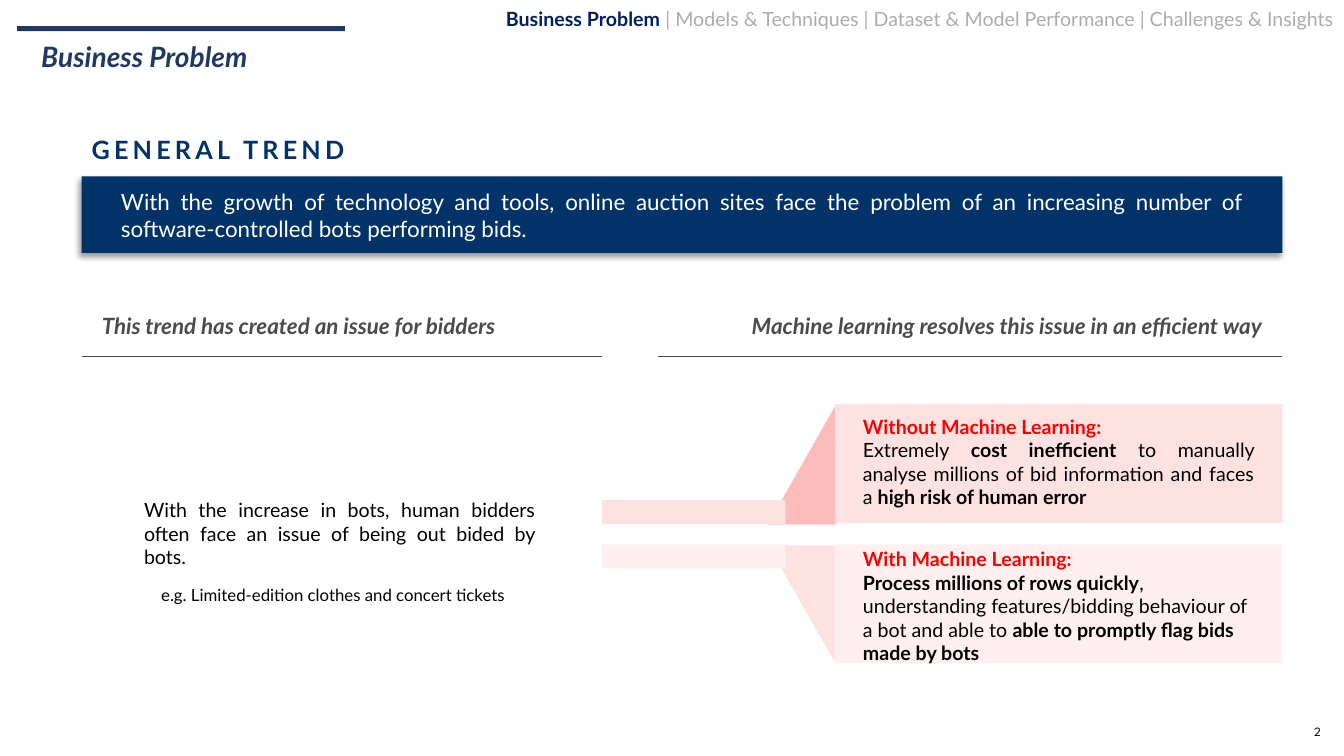
"""Build the business problem slide about bots on online auction sites."""
from pptx import Presentation
from pptx.dml.color import RGBColor
from pptx.enum.shapes import MSO_CONNECTOR as Link, MSO_SHAPE as Shape
from pptx.enum.text import MSO_ANCHOR as Anchor, PP_ALIGN as Align
from pptx.oxml import parse_xml
from pptx.oxml.ns import nsdecls
from pptx.util import Inches, Pt

COLORS = {
    "black": "000000", "white": "FFFFFF", "red": "FF0000", "slate": "4D4B4A",
    "muted": "AFABAB", "accent": "203864", "tab": "002060", "banner": "013369",
    "rose": "FCBCBC", "pink": "FEE2E2", "blush": "FEF0F0",
}


def write(frame, *paragraphs, size=14, color="black", bold=False, italic=False,
          align=Align.LEFT, anchor=Anchor.MIDDLE, inset=0.1, spacing=None,
          tracking=None, font="Lato"):
    """Fill a frame; a paragraph is a string or a list of (text, overrides)."""
    frame.word_wrap = True
    frame.vertical_anchor = anchor
    frame.margin_left = frame.margin_right = Inches(inset)
    frame.margin_top = frame.margin_bottom = Inches(0.05)
    for index, content in enumerate(paragraphs):
        paragraph = frame.paragraphs[0] if index == 0 else frame.add_paragraph()
        runs = [(content, {})] if isinstance(content, str) else content
        paragraph.alignment = runs[0][1].get("align", align)
        if spacing:
            paragraph.line_spacing = spacing
        for text, style in runs:
            run = paragraph.add_run()
            run.text = text
            run.font.name = font
            run.font.size = Pt(size)
            run.font.bold = style.get("bold", bold)
            run.font.italic = italic
            run.font.color.rgb = RGBColor.from_string(COLORS[style.get("color", color)])
            if tracking:
                run.font._element.set("spc", str(tracking * 100))


class Board:
    """Hold the slide and draw its elements in one style."""

    def __init__(self, slide):
        self.slide = slide

    def text(self, left, top, width, height, *paragraphs, **style):
        """Add a text box."""
        box = self.slide.shapes.add_textbox(*map(Inches, (left, top, width, height)))
        write(box.text_frame, *paragraphs, **style)

    def block(self, left, top, width, height, color, kind=Shape.RECTANGLE, rotation=0):
        """Add a plain filled shape."""
        shape = self.slide.shapes.add_shape(kind, *map(Inches, (left, top, width, height)))
        shape.shadow.inherit = False
        shape.fill.solid()
        shape.fill.fore_color.rgb = RGBColor.from_string(COLORS[color])
        shape.line.fill.background()
        shape.rotation = rotation
        return shape

    def banner(self, left, top, width, height, message, **style):
        """Add a shadowed block with a message."""
        shape = self.block(left, top, width, height, "banner")
        shape.shadow.inherit = True
        shape._element.spPr.append(parse_xml(
            f'<a:effectLst {nsdecls("a")}><a:outerShdw blurRad="50800" dist="38100" '
            f'dir="8100000" algn="tr" rotWithShape="0"><a:srgbClr val="{COLORS["black"]}">'
            '<a:alpha val="40000"/></a:srgbClr></a:outerShdw></a:effectLst>'))
        write(shape.text_frame, message, **style)

    def rule(self, left, right, y):
        """Add a thin horizontal line."""
        line = self.slide.shapes.add_connector(
            Link.STRAIGHT, *map(Inches, (left, y, right, y)))
        line.line.color.rgb = RGBColor.from_string(COLORS["slate"])
        line.line.width = Pt(0.5)
        line._element.spPr.append(parse_xml(f'<a:effectLst {nsdecls("a")}/>'))

    def heading(self, left, width, title, align):
        """Add an underlined column heading."""
        self.text(left, 2.77, width, 0.91, title, size=16, color="slate",
                  bold=True, italic=True, align=align, inset=0.2)
        self.rule(left, left + width, 3.54)


def main():
    """Draw the slide and save it."""
    deck = Presentation()
    deck.slide_width, deck.slide_height = Inches(13.33), Inches(7.5)
    board = Board(deck.slides.add_slide(deck.slide_layouts[6]))
    strong, alert = {"bold": True}, {"bold": True, "color": "red"}

    board.block(0.17, 0.26, 3.25, 0.05, "accent")
    board.text(12.54, 7.12, 0.66, 0.27, "2", size=9, align=Align.RIGHT,
               font="League Spartan")
    board.text(3.81, 0, 9.52, 0.38, [
        ("Business Problem", {"bold": True, "color": "tab"}),
        (" | Models & Techniques | Dataset & Model Performance | Challenges & Insights", {}),
    ], color="muted", align=Align.RIGHT)
    board.text(0.31, 0.38, 12.72, 0.68, "Business Problem", size=20, color="accent",
               bold=True, italic=True, anchor=Anchor.TOP, spacing=0.9)

    board.banner(0.81, 1.75, 11.91, 0.76,
                 "With the growth of technology and tools, online auction sites face the "
                 "problem of an increasing number of software-controlled bots performing bids.",
                 size=16, color="white", align=Align.JUSTIFY, inset=0.39)
    board.text(0.81, 1.28, 9.6, 0.4, "GENERAL TREND", size=18, color="banner",
               bold=True, anchor=Anchor.TOP, tracking=3)
    board.heading(0.81, 5.16, "This trend has created an issue for bidders", Align.LEFT)
    board.heading(6.53, 6.19, "Machine learning resolves this issue in an efficient way",
                  Align.RIGHT)

    board.block(7.36, 4.28, 1.18, 0.67, "rose", Shape.RIGHT_TRIANGLE, 270)
    board.block(7.62, 5.41, 0.67, 1.18, "pink", Shape.RIGHT_TRIANGLE, 180)
    for bar_top, panel_top, color in ((4.96, 4.01, "pink"), (5.4, 5.4, "blush")):
        board.block(5.97, bar_top, 1.82, 0.24, color)
        board.block(8.28, panel_top, 4.44, 1.18, color)

    board.text(8.46, 4.22, 4.08, 0.72,
               [("Without Machine Learning:", {**alert, "align": Align.LEFT})],
               [("Extremely ", {}), ("cost inefficient ", strong),
                ("to manually analyse millions of bid information and faces a ", {}),
                ("high risk of human error", strong)], align=Align.JUSTIFY)
    board.text(8.46, 5.65, 4.08, 0.72,
               [("With Machine Learning:", alert)],
               [("Process millions of rows quickly", strong),
                (", understanding features/bidding behaviour of a bot and able to ", {}),
                ("able to promptly flag bids made by bots", strong)])

    board.text(1.33, 4.93, 4.08, 0.72,
               "With the increase in bots, human bidders often face an issue of "
               "being out bided by bots.", align=Align.JUSTIFY)
    board.text(1.5, 5.75, 3.81, 0.3, "e.g. Limited-edition clothes and concert tickets",
               size=12, anchor=Anchor.TOP)
    deck.save("out.pptx")


if __name__ == "__main__":
    main()
